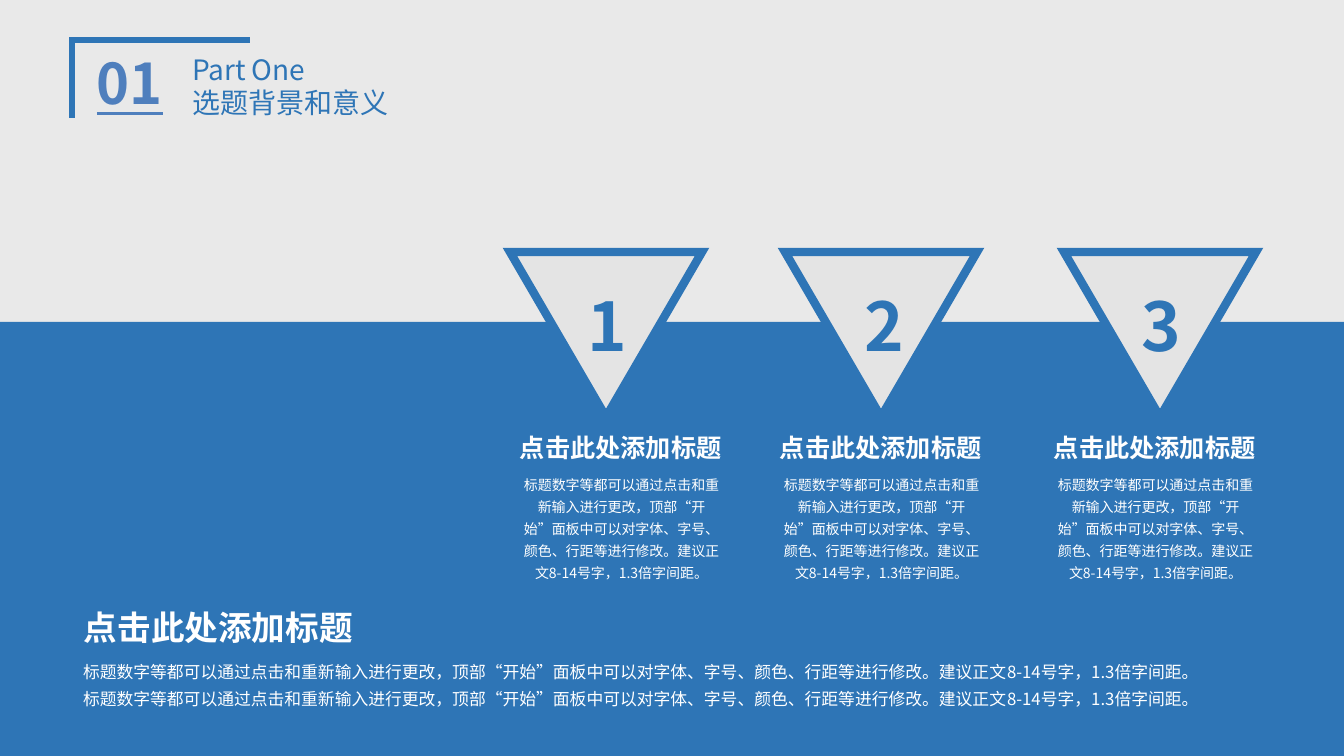
import pptx
import pptx.dml.color
import pptx.enum.lang
import pptx.enum.shapes
import pptx.enum.text
import pptx.oxml.ns
import pptx.util
import lxml.etree

SCALE = 914400 / 100.8
THEME = {
    "font": "Noto Sans CJK SC",
    "paper": "E9E9E9", "blue": "2E75B6", "number": "4F7FBD",
    "triangle": "E4E4E4", "white": "FFFFFF",
    "digit": 48, "section": 40, "heading": 24, "title": 20,
    "caption": 18, "body": 12, "detail": 10,
}
CAPTION = "点击此处添加标题"
DETAIL = ("标题数字等都可以通过点击和重新输入进行更改，顶部“开始”面板中可以对字体、字号、"
          "颜色、行距等进行修改。建议正文8-14号字，1.3倍字间距。")
LEFT = pptx.enum.text.PP_ALIGN.LEFT
CENTER = pptx.enum.text.PP_ALIGN.CENTER


def px(*lengths):
    return [pptx.util.Emu(round(length * SCALE)) for length in lengths]


def write(box, place, text, size, color, bold=False, underline=None,
          wrap=True, align=LEFT, spacing=1.0):
    box.left, box.top, box.width, box.height = px(*place)
    frame = box.text_frame
    frame.text = text
    frame.word_wrap = wrap
    frame.auto_size = pptx.enum.text.MSO_AUTO_SIZE.SHAPE_TO_FIT_TEXT
    frame.vertical_anchor = pptx.enum.text.MSO_ANCHOR.TOP
    for para in frame.paragraphs:
        para.alignment = align
        para.line_spacing = spacing
        para.space_before = pptx.util.Pt(0)
        for span in para.runs:
            font = span.font
            font.size = pptx.util.Pt(THEME[size])
            font.bold = bold
            font.underline = underline
            font.color.rgb = pptx.dml.color.RGBColor.from_string(THEME[color])
            font.name = THEME["font"]
            font.language_id = pptx.enum.lang.MSO_LANGUAGE_ID.SIMPLIFIED_CHINESE
            east_asian = lxml.etree.SubElement(
                span._r.get_or_add_rPr(), pptx.oxml.ns.qn("a:ea"))
            east_asian.set("typeface", THEME["font"])


blue = pptx.dml.color.RGBColor.from_string(THEME["blue"])
deck = pptx.Presentation()
deck.slide_width, deck.slide_height = px(1344, 756)
page = deck.slides.add_slide(deck.slide_layouts[1])
page.background.fill.solid()
page.background.fill.fore_color.rgb = pptx.dml.color.RGBColor.from_string(THEME["paper"])
shapes = page.shapes

band = shapes.add_shape(pptx.enum.shapes.MSO_SHAPE.RECTANGLE, *px(0, 322, 1344, 434))
band.shadow.inherit = False
band.fill.solid()
band.fill.fore_color.rgb = blue
band.line.fill.background()
shapes._spTree.insert(2, band._element)

corner = shapes.build_freeform(*px(72, 118), scale=1.0)
corner.add_line_segments([px(72, 40), px(250, 40)], close=False)
bracket = corner.convert_to_shape()
bracket.fill.background()
outlined = [(bracket, 4.5)]

write(shapes.add_textbox(0, 0, 0, 0), (87, 44, 96, 78), "01", "section", "number",
      bold=True, underline=True)
write(shapes.title, (182, 47, 242, 78), "Part One\n选题背景和意义", "title", "blue")

columns = [(510, 578, 510), (785, 855, 770), (1064, 1132, 1044)]
for number, (triangle_left, digit_left, caption_left) in enumerate(columns, 1):
    triangle = shapes.add_shape(pptx.enum.shapes.MSO_SHAPE.ISOSCELES_TRIANGLE,
                                *px(triangle_left, 252, 192, 165))
    triangle.rotation = 180
    triangle.fill.solid()
    triangle.fill.fore_color.rgb = pptx.dml.color.RGBColor.from_string(THEME["triangle"])
    outlined.append((triangle, 6))
    write(shapes.add_textbox(0, 0, 0, 0), (digit_left, 279, 62, 92), str(number),
          "digit", "blue", bold=True, wrap=False)
    write(shapes.add_textbox(0, 0, 0, 0), (caption_left, 427, 224, 40), CAPTION,
          "caption", "white", bold=True, wrap=False)
    write(shapes.add_textbox(0, 0, 0, 0), (caption_left - 1, 467, 225, 120), DETAIL,
          "detail", "white", align=CENTER, spacing=1.3)

for shape, weight in outlined:
    shape.shadow.inherit = False
    shape.line.color.rgb = blue
    shape.line.width = pptx.util.Pt(weight)
    miter = lxml.etree.SubElement(shape.line._get_or_add_ln(), pptx.oxml.ns.qn("a:miter"))
    miter.set("lim", "800000")

write(shapes.add_textbox(0, 0, 0, 0), (74, 602, 291, 50), CAPTION, "heading", "white",
      bold=True, wrap=False)
summary = page.placeholders[1]
write(summary, (73, 651, 1225, 64), f"{DETAIL}\n{DETAIL}", "body", "white", spacing=1.3)
for para in summary.text_frame.paragraphs:
    properties = para._p.get_or_add_pPr()
    properties.set("marL", "0")
    properties.set("indent", "0")
    lxml.etree.SubElement(properties, pptx.oxml.ns.qn("a:buNone"))

deck.save("out.pptx")
